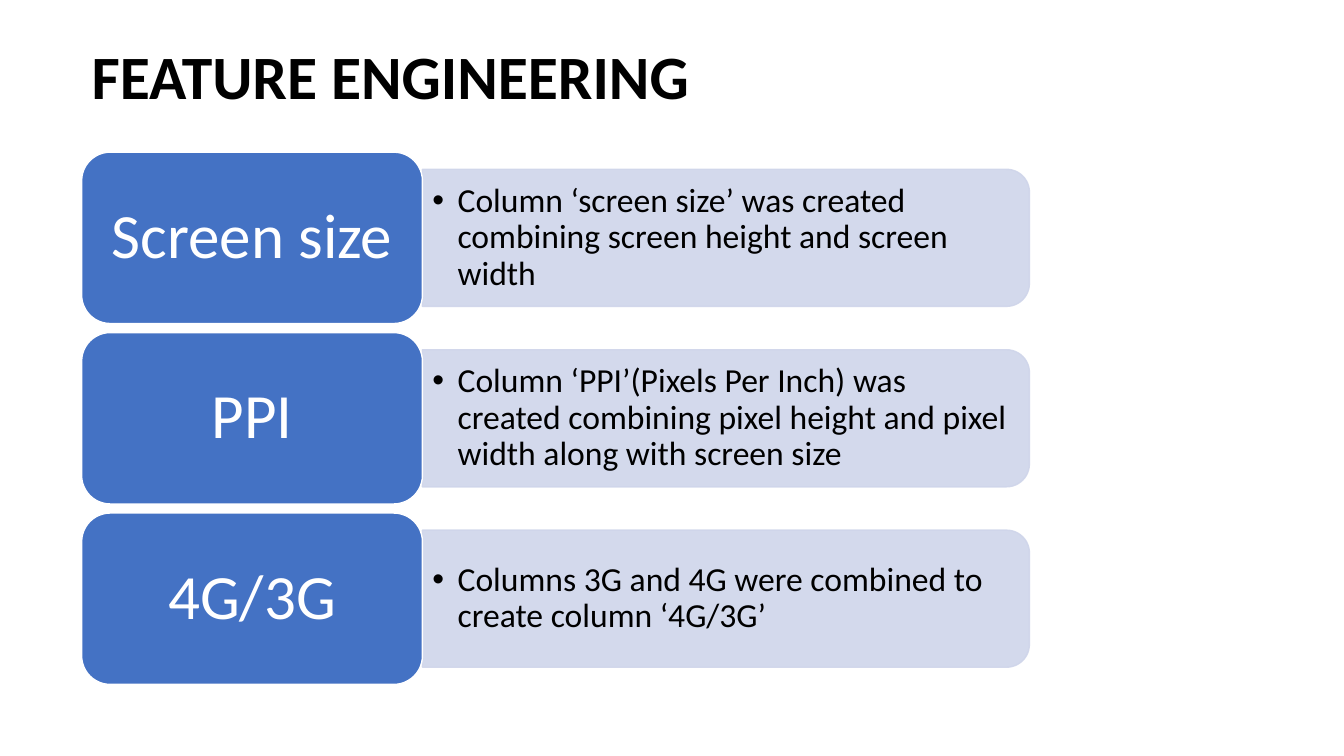
from lxml import etree
from pptx import Presentation
from pptx.dml.color import RGBColor
from pptx.enum.shapes import MSO_SHAPE
from pptx.enum.text import MSO_ANCHOR, PP_ALIGN
from pptx.oxml.ns import qn
from pptx.util import Inches, Pt

TITLE = "FEATURE ENGINEERING"
ROWS = [
    ("Screen size", "Column ‘screen size’ was created combining "
                    "screen height and screen width"),
    ("PPI", "Column ‘PPI’(Pixels Per Inch) was created combining "
            "pixel height and pixel width along with screen size"),
    ("4G/3G", "Columns 3G and 4G were combined to create column ‘4G/3G’"),
]

FONT = "Calibri"
BLACK = RGBColor(0x00, 0x00, 0x00)
WHITE = RGBColor(0xFF, 0xFF, 0xFF)
BLUE = RGBColor(0x44, 0x72, 0xC4)
PALE = RGBColor(0xCF, 0xD5, 0xEA)
ROUND = MSO_SHAPE.ROUNDED_RECTANGLE
TAB = MSO_SHAPE.ROUND_2_SAME_RECTANGLE
MIDDLE = MSO_ANCHOR.MIDDLE
LEFT, CENTER = PP_ALIGN.LEFT, PP_ALIGN.CENTER

# Lengths in inches
X, TOP, STEP = 0.81, 1.51, 1.79
BOX_W, BOX_H = 3.38, 1.7
BAR_W, BAR_H = 6.02, 1.36
TEXT_W, TEXT_H = 5.95, 1.23
INDENT = 0.25


def write(frame, text, size, color, align=LEFT, bold=False):
    frame.vertical_anchor = MIDDLE
    para = frame.paragraphs[0]
    para.alignment = align
    para.line_spacing = 0.9
    run = para.add_run()
    run.text = text
    font = run.font
    font.name, font.size, font.bold = FONT, Pt(size), bold
    font.color.rgb = color
    return para


def add_box(slide, kind, x, y, w, h, fill, line):
    box = slide.shapes.add_shape(kind, Inches(x), Inches(y), Inches(w), Inches(h))
    box.shadow.inherit = False
    box.fill.solid()
    box.fill.fore_color.rgb = fill
    box.line.color.rgb = line
    box.line.width = Pt(1)
    return box


def add_bar(slide, x, mid):
    """Add a pale bar, turned a quarter so its round corners face right."""
    bar = add_box(slide, TAB, x + (BAR_W - BAR_H) / 2, mid - BAR_W / 2,
                  BAR_H, BAR_W, PALE, PALE)
    bar.rotation = 90
    for color in bar._element.spPr.iter(qn("a:srgbClr")):
        etree.SubElement(color, qn("a:alpha"), val="90000")


def add_note(slide, x, mid, text):
    note = slide.shapes.add_textbox(Inches(x), Inches(mid - TEXT_H / 2),
                                    Inches(TEXT_W), Inches(TEXT_H))
    note.text_frame.word_wrap = True
    para = write(note.text_frame, text, 24, BLACK)
    props = para._p.get_or_add_pPr()
    props.set("marL", str(Inches(INDENT)))
    props.set("indent", str(-Inches(INDENT)))
    etree.SubElement(props, qn("a:buFont"), typeface="Arial")
    etree.SubElement(props, qn("a:buChar"), char="•")


def add_label(slide, y, text):
    label = add_box(slide, ROUND, X, y, BOX_W, BOX_H, BLUE, WHITE)
    label.text_frame.word_wrap = False
    write(label.text_frame, text, 45, WHITE, CENTER)


def main():
    deck = Presentation()
    deck.slide_width, deck.slide_height = Inches(13.33), Inches(7.5)
    slide = deck.slides.add_slide(deck.slide_layouts[5])

    title = slide.shapes.title
    title.left, title.top = Inches(X), Inches(0.06)
    title.width, title.height = Inches(11.5), Inches(1.45)
    write(title.text_frame, TITLE, 44, BLACK, bold=True)

    for i, (name, text) in enumerate(ROWS):
        y = TOP + i * STEP
        mid = y + BOX_H / 2
        add_bar(slide, X + BOX_W, mid)
        add_note(slide, X + BOX_W, mid, text)
        add_label(slide, y, name)

    deck.save("out.pptx")


if __name__ == "__main__":
    main()
